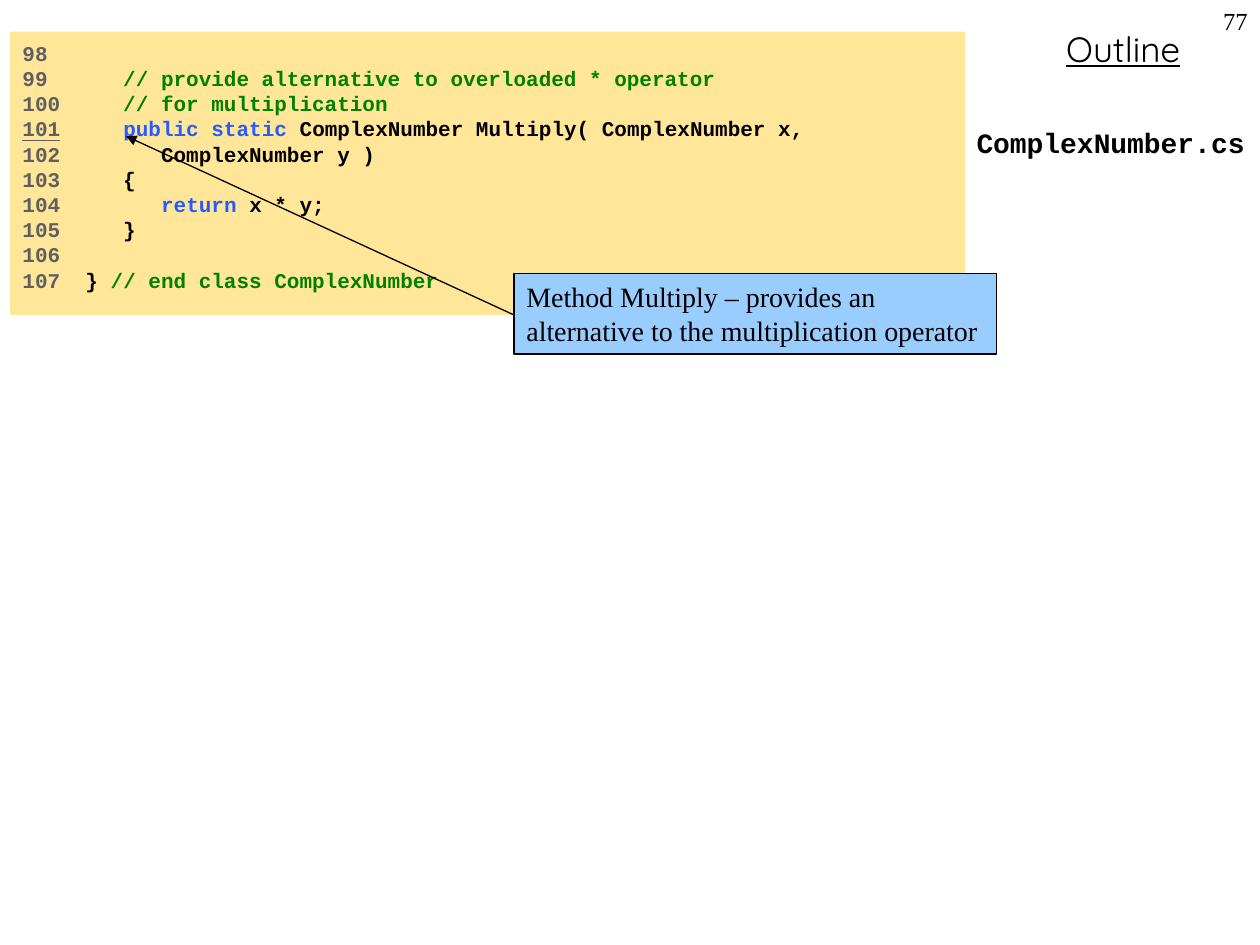
import pptx
import pptx.dml.color
import pptx.enum.shapes
import pptx.enum.text
import pptx.oxml
import pptx.oxml.ns
import pptx.util

Inches = pptx.util.Inches
Pt = pptx.util.Pt
RGBColor = pptx.dml.color.RGBColor
Align = pptx.enum.text.PP_ALIGN

BLACK = RGBColor(0x00, 0x00, 0x00)
GRAY = RGBColor(0x5F, 0x5F, 0x5F)
GREEN = RGBColor(0x00, 0x80, 0x00)
BLUE = RGBColor(0x27, 0x5A, 0xFF)
SAND = RGBColor(0xFF, 0xE6, 0x99)
SKY = RGBColor(0x99, 0xCC, 0xFF)

FIRST_LINE = 98
MARKED_LINE = 101
CODE = [
    [],
    [("   // provide alternative to overloaded * operator", GREEN)],
    [("   // for multiplication", GREEN)],
    [("   ", BLACK), ("public static", BLUE),
     (" ComplexNumber Multiply( ComplexNumber x,", BLACK)],
    [("      ComplexNumber y )", BLACK)],
    [("   {", BLACK)],
    [("      ", BLACK), ("return", BLUE), (" x * y;", BLACK)],
    [("   }", BLACK)],
    [],
    [("} ", BLACK), ("// end class ComplexNumber", GREEN)],
]


class CodeSlide:
    serif = {"name": "Times New Roman"}
    mono = {"name": "Courier New", "bold": True}
    rounded = {"name": "Quicksand", "underline": True}

    def __init__(self, deck):
        self.page = deck.slides.add_slide(deck.slide_layouts[6])

    def add_span(self, para, text, size, color=BLACK, **formats):
        span = para.add_run()
        span.text = text
        for key, value in {"size": Pt(size), **formats}.items():
            setattr(span.font, key, value)
        span.font.color.rgb = color

    def set_frame(self, frame, **formats):
        values = {"word_wrap": True,
                  "vertical_anchor": pptx.enum.text.MSO_ANCHOR.TOP, **formats}
        for key, value in values.items():
            setattr(frame, key, value)

    def text(self, place, words, size, font, align=Align.LEFT, **formats):
        box = self.page.shapes.add_textbox(*map(Inches, place))
        self.set_frame(box.text_frame, **formats)
        para = box.text_frame.paragraphs[0]
        para.alignment = align
        self.add_span(para, words, size, **font)

    def panel(self, place, fill, line=None, **formats):
        box = self.page.shapes.add_shape(
            pptx.enum.shapes.MSO_SHAPE.RECTANGLE, *map(Inches, place))
        box.shadow.inherit = False
        box.fill.solid()
        box.fill.fore_color.rgb = fill
        if line is None:
            box.line.fill.background()
        else:
            box.line.color.rgb = line
            box.line.width = Pt(0.75)
        self.set_frame(box.text_frame, **formats)
        return box.text_frame

    def listing(self, place, lines):
        frame = self.panel(place, SAND, margin_top=Inches(0.07))
        for number, parts in enumerate(lines, FIRST_LINE):
            para = (frame.paragraphs[0] if number == FIRST_LINE
                    else frame.add_paragraph())
            para.alignment = Align.LEFT
            para.line_spacing = Pt(14.4)
            self.add_span(para, str(number), 12, GRAY,
                          underline=number == MARKED_LINE, **self.mono)
            if parts:
                gap = " " * (5 - len(str(number)))
                self.add_span(para, gap, 12, GRAY, **self.mono)
            for words, color in parts:
                self.add_span(para, words, 12, color, **self.mono)

    def callout(self, place, words):
        para = self.panel(place, SKY, BLACK).paragraphs[0]
        para.alignment = Align.LEFT
        self.add_span(para, words, 16, **self.serif)

    def arrow(self, start, end):
        line = self.page.shapes.add_connector(
            pptx.enum.shapes.MSO_CONNECTOR.STRAIGHT, *map(Inches, start + end))
        line.line.color.rgb = BLACK
        line.line.width = Pt(0.75)
        head = pptx.oxml.parse_xml(
            f'<a:tailEnd {pptx.oxml.ns.nsdecls("a")} type="triangle"/>')
        line.line._get_or_add_ln().append(head)
        properties = line._element.spPr
        properties.append(pptx.oxml.parse_xml(
            f'<a:effectLst {pptx.oxml.ns.nsdecls("a")}/>'))


def main():
    deck = pptx.Presentation()
    deck.slide_width, deck.slide_height = Inches(10), Inches(7.5)
    slide = CodeSlide(deck)
    slide.text((7.83, 0.17, 2.17, 0.44), "Outline", 20, slide.rounded, Align.CENTER)
    slide.text((7.75, 0.92, 2.25, 6), "ComplexNumber.cs", 16, slide.mono,
               margin_left=0, margin_top=Inches(0.08))
    slide.listing((0.08, 0.25, 7.58, 2.25), CODE)
    slide.callout((4.08, 2.17, 3.83, 0.64),
                  "Method Multiply – provides an alternative to the multiplication operator")
    slide.arrow((4.08, 2.5), (1, 1.08))
    slide.text((9.5, 0, 0.5, 0.5), "77", 14, slide.serif, Align.RIGHT)
    deck.save("out.pptx")


if __name__ == "__main__":
    main()
